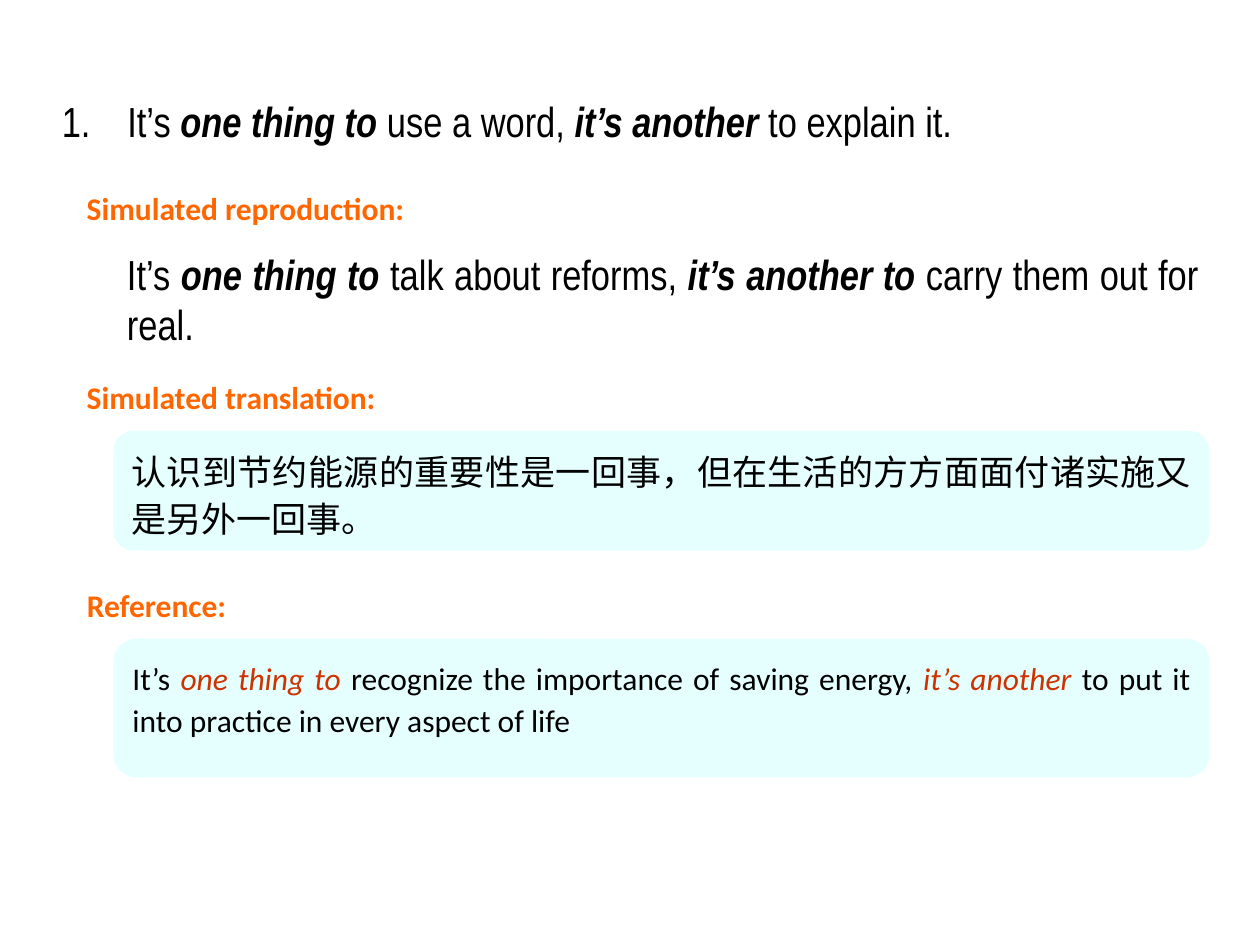
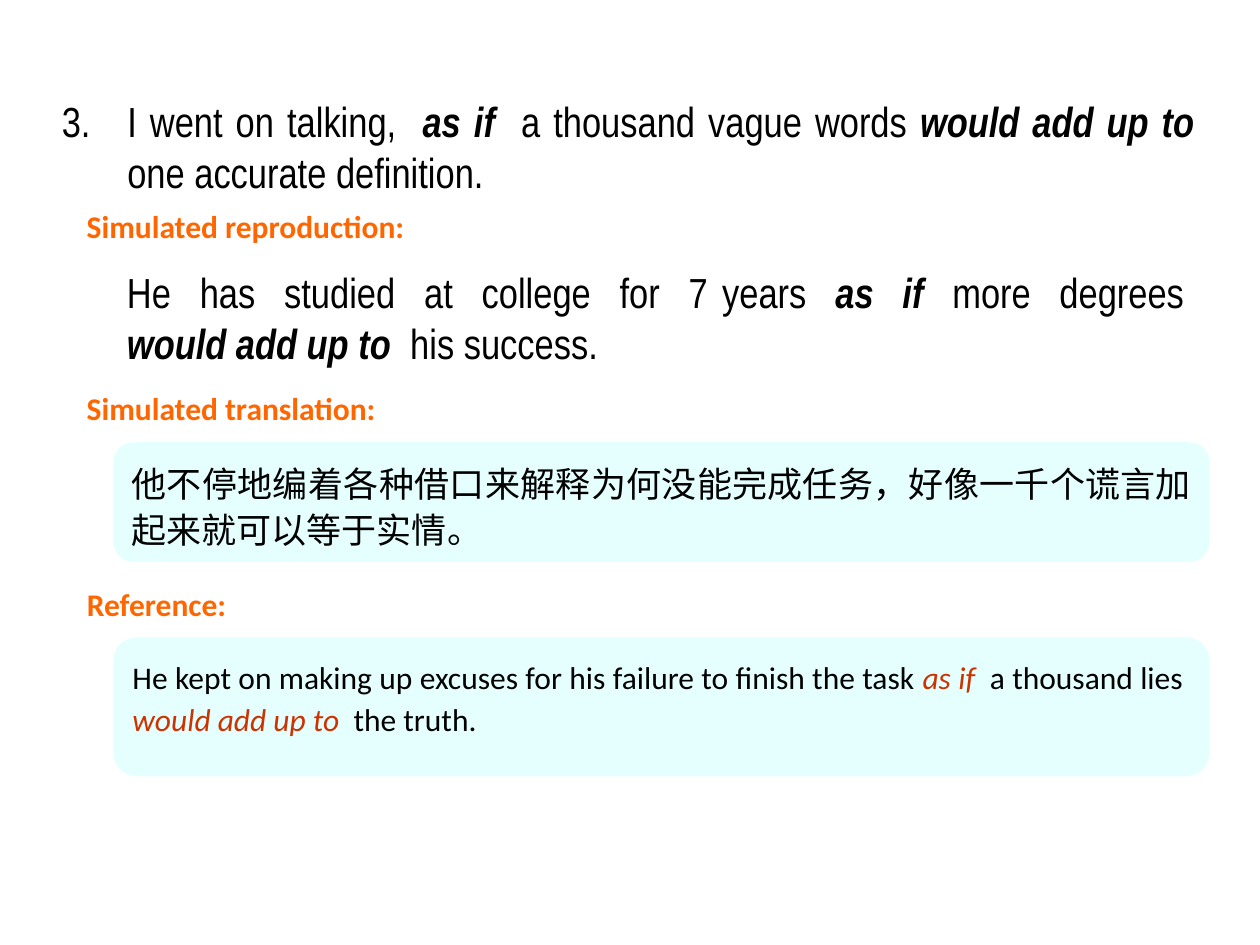
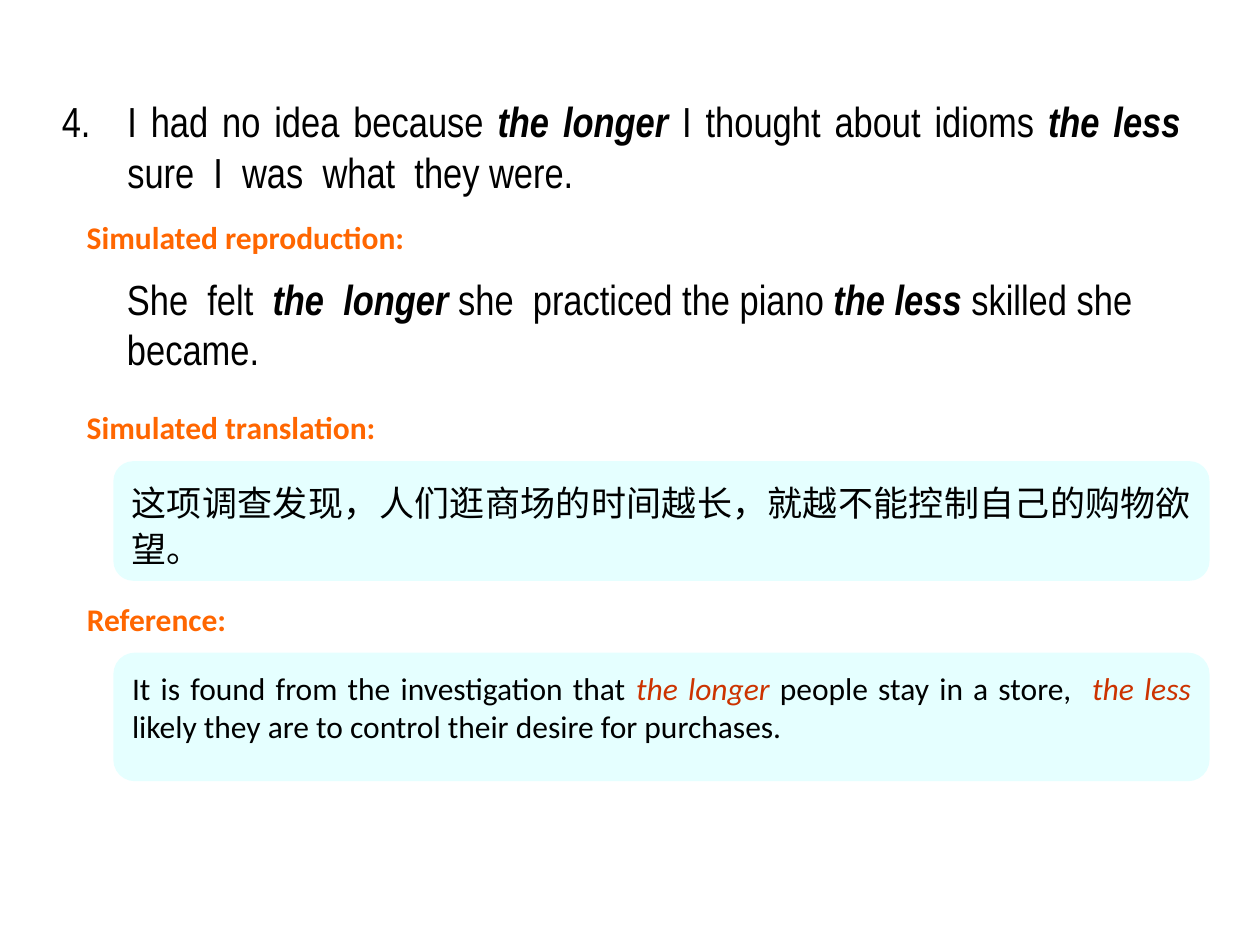
from dataclasses import dataclass

from lxml.etree import SubElement
from pptx import Presentation
from pptx.dml.color import RGBColor
from pptx.enum.shapes import MSO_SHAPE as Shape
from pptx.enum.text import MSO_ANCHOR as Anchor, MSO_AUTO_SIZE as AutoSize, PP_ALIGN as Align
from pptx.oxml.ns import qn
from pptx.util import Inches, Pt


@dataclass(frozen=True)
class Theme:
    ink: str = "000000"
    label: str = "FF6600"
    accent: str = "CC3300"
    card: str = "CCFFFF"
    sentence_font: str = "Arial Narrow"
    body_font: str = "Calibri"
    chinese_font: str = "Noto Sans CJK SC"
    sentence_size: int = 24
    chinese_size: int = 20
    body_size: int = 18


theme = Theme()


def write(box, text, font=theme.body_font, size=theme.body_size, color=theme.ink, bold=False,
          align=Align.JUSTIFY, spacing=1.0, hanging=0, inset=0.05,
          strong_bold=False, strong_color=theme.ink):
    """Fill a box; words between asterisks are italic, with the strong_ format."""
    frame = box.text_frame
    frame.word_wrap = True
    frame.auto_size = AutoSize.NONE
    frame.vertical_anchor = Anchor.TOP
    frame.margin_left = frame.margin_right = Inches(0.1)
    frame.margin_top = frame.margin_bottom = Inches(inset)
    for index, line in enumerate(text.split("\n")):
        para = frame.add_paragraph() if index else frame.paragraphs[0]
        para.alignment = align
        para.line_spacing = spacing
        if hanging:
            properties = para._p.get_or_add_pPr()
            properties.set("marL", str(Inches(hanging)))
            properties.set("indent", str(-Inches(hanging)))
        for position, piece in enumerate(line.split("*")):
            if not piece:
                continue
            strong = position % 2 == 1
            span = para.add_run()
            span.text = piece
            span.font.name = font
            span.font.size = Pt(size)
            span.font.bold = strong_bold if strong else bold
            span.font.italic = strong
            span.font.color.rgb = RGBColor.from_string(strong_color if strong else color)
            SubElement(span._r.get_or_add_rPr(), qn("a:ea"), typeface=font)


def add_card(page, top, height, text, **style):
    """Add a half-transparent rounded card with text."""
    card = page.shapes.add_shape(Shape.FLOWCHART_ALTERNATE_PROCESS,
                                 Inches(0.9), Inches(top), Inches(8.7), Inches(height))
    card.shadow.inherit = False
    card.line.fill.background()
    card.fill.solid()
    card.fill.fore_color.rgb = RGBColor.from_string(theme.card)
    color = card._element.spPr.find(".//" + qn("a:srgbClr"))
    SubElement(color, qn("a:alpha"), val="50000")
    write(card, text, inset=0.08, **style)


# Section labels with their widths
labels = [("Simulated reproduction:", 3.36), ("Simulated translation:", 3.07), ("Reference:", 1.62)]
card_drop = 0.47  # from the top of a label to the top of its card

# Exercises: label_tops follow the order of the labels
exercises = [
    dict(
        sentence="1.\tIt’s *one thing to* use a word, *it’s another* to explain it.",
        sentence_height=0.5,
        reproduction="It’s *one thing to* talk about reforms, *it’s another to* carry them out for real.",
        reproduction_top=1.92,
        translation="认识到节约能源的重要性是一回事，但在生活的方方面面付诸实施又是另外一回事。",
        reference="It’s *one thing to* recognize the importance of saving energy, "
                  "*it’s another* to put it into practice in every aspect of life",
        reference_height=1.1, reference_spacing=1.1,
        label_tops=(1.45, 2.95, 4.6),
    ),
    dict(
        sentence="3.\tI went on talking,  *as if*  a thousand vague words "
                 "*would add up to* one accurate definition.",
        sentence_height=0.9,
        reproduction="He  has  studied  at  college  for  7 years  *as  if*  more  degrees  "
                     "*would add up to*  his success.",
        reproduction_top=2.07,
        translation="他不停地编着各种借口来解释为何没能完成任务，好像一千个谎言加起来就可以等于实情。",
        reference="He kept on making up excuses for his failure to finish the task "
                  "*as if*  a thousand lies  *would add up to*  the truth.",
        reference_height=1.1, reference_spacing=1.1,
        label_tops=(1.59, 3.04, 4.59),
    ),
    dict(
        sentence="4.\tI had no idea because *the longer* I thought about idioms "
                 "*the less*  sure  I  was  what  they were.",
        sentence_height=0.9,
        reproduction="She  felt  *the  longer* she  practiced the piano *the less* skilled she \nbecame.",
        reproduction_top=2.12,
        translation="这项调查发现，人们逛商场的时间越长，就越不能控制自己的购物欲望。",
        reference="It is found from the investigation that *the longer* people stay in a store,  "
                  "*the less* likely they are to control their desire for purchases.",
        reference_height=1.02, reference_spacing=1.0,
        label_tops=(1.68, 3.19, 4.71),
    ),
]

deck = Presentation()
deck.slide_width, deck.slide_height = Inches(10), Inches(7.5)
title_only = deck.slide_layouts[5]
sentence_style = dict(font=theme.sentence_font, size=theme.sentence_size, strong_bold=True)

for exercise in exercises:
    page = deck.slides.add_slide(title_only)

    # Numbered model sentence
    title = page.shapes.title
    title.left, title.top = Inches(0.39), Inches(0.71)
    title.width, title.height = Inches(9.19), Inches(exercise["sentence_height"])
    write(title, exercise["sentence"], hanging=0.52, **sentence_style)

    # Reproduction
    box = page.shapes.add_textbox(Inches(0.91), Inches(exercise["reproduction_top"]),
                                  Inches(8.7), Inches(0.9))
    write(box, exercise["reproduction"], **sentence_style)

    # Translation and reference cards
    _, translation_top, reference_top = exercise["label_tops"]
    add_card(page, translation_top + card_drop, 0.95, exercise["translation"],
             font=theme.chinese_font, size=theme.chinese_size, spacing=1.1)
    add_card(page, reference_top + card_drop, exercise["reference_height"], exercise["reference"],
             spacing=exercise["reference_spacing"], strong_color=theme.accent)

    # Section labels
    for (label, width), top in zip(labels, exercise["label_tops"]):
        box = page.shapes.add_textbox(Inches(0.59), Inches(top), Inches(width), Inches(0.5))
        write(box, label, color=theme.label, bold=True, align=Align.LEFT)

deck.save("out.pptx")
